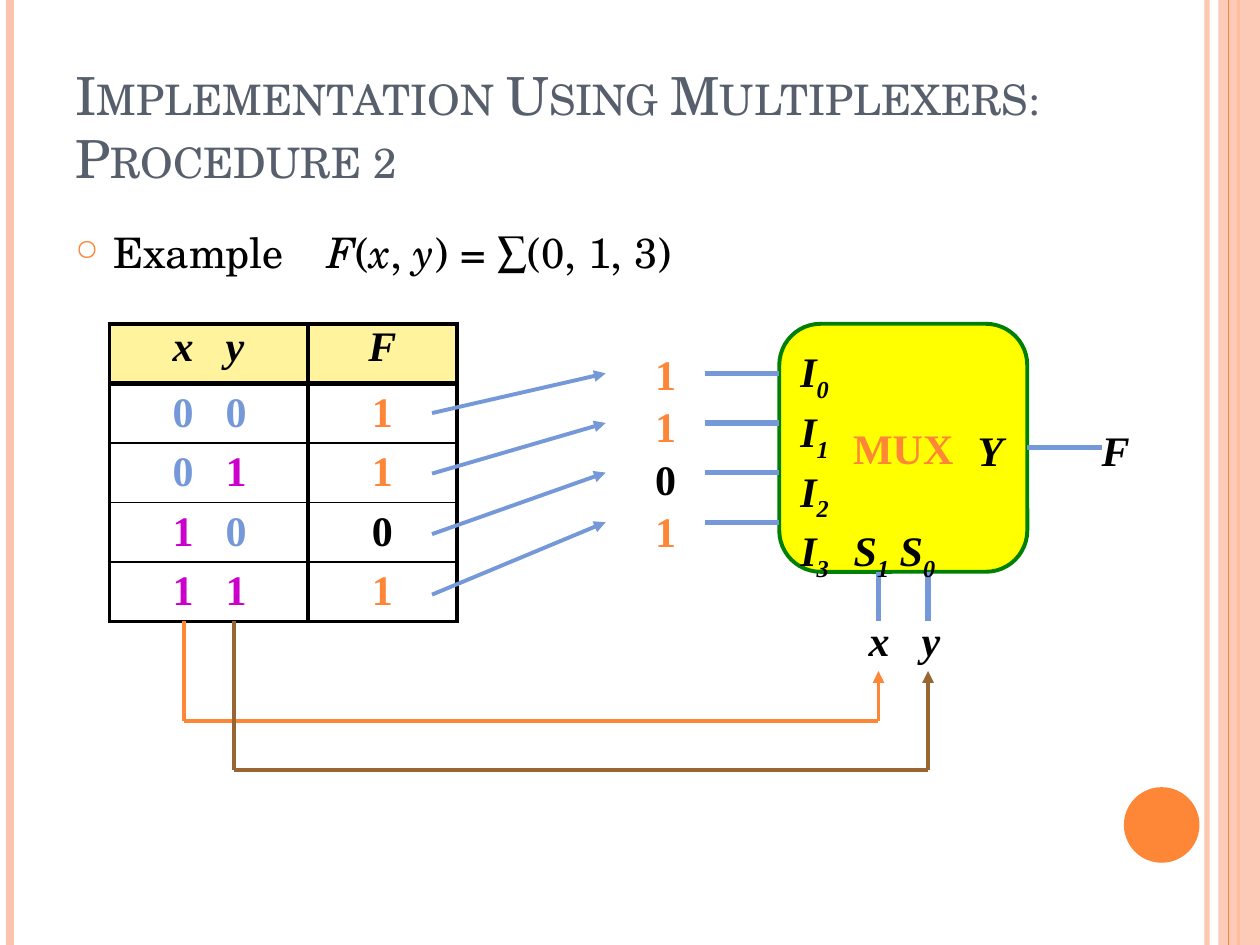
from dataclasses import dataclass

from lxml import etree
from pptx import Presentation
from pptx.dml.color import RGBColor
from pptx.enum.shapes import MSO_CONNECTOR, MSO_SHAPE
from pptx.enum.text import MSO_ANCHOR, PP_ALIGN
from pptx.oxml.ns import qn
from pptx.util import Cm, Inches, Pt

STRAIGHT = MSO_CONNECTOR.STRAIGHT
RECT, ROUNDED, OVAL = MSO_SHAPE.RECTANGLE, MSO_SHAPE.ROUNDED_RECTANGLE, MSO_SHAPE.OVAL
TOP, MIDDLE, BOTTOM = MSO_ANCHOR.TOP, MSO_ANCHOR.MIDDLE, MSO_ANCHOR.BOTTOM
LEFT, CENTER, RIGHT = PP_ALIGN.LEFT, PP_ALIGN.CENTER, PP_ALIGN.RIGHT


@dataclass(frozen=True)
class Theme:
    serif: str = "TeX Gyre Schola"
    label: str = "Times New Roman"
    title_size: int = 30
    text_size: int = 24
    black: str = "000000"
    slate: str = "575F6D"
    orange: str = "FE8637"
    peach: str = "FEC3AE"
    blue: str = "7598D9"
    magenta: str = "CC00CC"
    brown: str = "996633"
    yellow: str = "FFFF00"
    green: str = "008000"
    header: str = "FFF39D"


def child(parent, tag, **attributes):
    return etree.SubElement(parent, qn(tag), attributes)


def add_tab(paragraph, inches):
    tabs = child(paragraph._p.get_or_add_pPr(), "a:tabLst")
    child(tabs, "a:tab", pos=str(Inches(inches)), algn="l")


def set_alpha(element, percent):
    child(element.find(".//" + qn("a:srgbClr")), "a:alpha", val=str(percent * 1000))


class Board:
    """A slide with a one-centimetre grid that starts at the truth table's corner."""

    def __init__(self, deck, theme):
        self.deck, self.theme = deck, theme
        self.slide = deck.slides.add_slide(deck.slide_layouts[6])
        self.shapes = self.slide.shapes

    def point(self, col, row):
        return Inches(0.87) + Cm(col), Inches(2.57) + Cm(row)

    def grid(self, col, row, cols, rows):
        return (*self.point(col, row), Cm(cols), Cm(rows))

    def share(self, *parts):
        sides = (self.deck.slide_width, self.deck.slide_height) * 2
        return tuple(int(part * side) for part, side in zip(parts, sides))

    def line(self, start, end, color, width, arrow=False):
        link = self.shapes.add_connector(STRAIGHT, *start, *end)
        link.line.color.rgb = RGBColor.from_string(color)
        link.line.width = Pt(width)
        if arrow:
            child(link.line._get_or_add_ln(), "a:tailEnd", type="triangle")
        child(link._element.spPr, "a:effectLst")
        return link

    def shape(self, kind, box, fill, outline=None):
        figure = self.shapes.add_shape(kind, *box)
        figure.shadow.inherit = False
        figure.fill.solid()
        figure.fill.fore_color.rgb = RGBColor.from_string(fill)
        if outline:
            figure.line.color.rgb = RGBColor.from_string(outline)
            figure.line.width = Pt(2.25)
        else:
            figure.line.fill.background()
        return figure

    def add_runs(self, paragraph, runs, font=None, size=None, bold=True):
        """Each run is (text, colour, italic, subscript); the last two may be left out."""
        for text, color, *flags in runs:
            italic, sub = (flags + [False, False])[:2]
            run = paragraph.add_run()
            run.text = text
            run.font.name = font or self.theme.label
            run.font.size = Pt(size or self.theme.text_size)
            run.font.bold, run.font.italic = bold, italic
            run.font.color.rgb = RGBColor.from_string(color)
            if sub:
                run.font._element.set("baseline", "-25000")

    def frame(self, box, anchor=TOP):
        frame = self.shapes.add_textbox(*box).text_frame
        frame.word_wrap, frame.vertical_anchor = True, anchor
        return frame

    def label(self, box, lines, align=LEFT):
        frame = self.frame(box)
        frame.margin_left = frame.margin_right = frame.margin_top = frame.margin_bottom = 0
        for index, runs in enumerate(lines):
            paragraph = frame.add_paragraph() if index else frame.paragraphs[0]
            paragraph.alignment, paragraph.line_spacing = align, 1.04
            self.add_runs(paragraph, runs)
        return frame

    def cell(self, cell, runs, fill, borders):
        for side, width in zip("LRTB", borders):
            edge = child(cell._tc.get_or_add_tcPr(), "a:ln" + side, w=str(Pt(width)))
            child(child(edge, "a:solidFill"), "a:srgbClr", val=self.theme.black)
        if fill:
            cell.fill.solid()
            cell.fill.fore_color.rgb = RGBColor.from_string(fill)
        else:
            cell.fill.background()
        cell.margin_left = cell.margin_right = cell.margin_top = cell.margin_bottom = 0
        cell.vertical_anchor = TOP if fill else MIDDLE
        self.add_runs(cell.text_frame.paragraphs[0], runs)

    def truth_table(self, box, widths, rows):
        table = self.shapes.add_table(len(rows), len(widths), *box).table
        table.first_row = table.horz_banding = False
        for column, width in zip(table.columns, widths):
            column.width = Cm(width)
        for r, (inputs, output) in enumerate(rows):
            top = 2.25 if r == 0 else 3 if r == 1 else 1
            bottom = 3 if r == 0 else 2.25 if r == len(rows) - 1 else 1
            fill = None if r else self.theme.header
            pair, result = table.cell(r, 0), table.cell(r, 1)
            self.cell(pair, inputs, fill, (2.25, 3, top, bottom))
            self.cell(result, output, fill, (3, 2.25, top, bottom))
            pair.margin_left = Inches(0.5)
            add_tab(pair.text_frame.paragraphs[0], 0.42)
            result.text_frame.paragraphs[0].alignment = CENTER


def main():
    deck = Presentation()
    deck.slide_width, deck.slide_height = Inches(10), Inches(7.5)
    theme = Theme()
    board = Board(deck, theme)
    black, orange, blue = theme.black, theme.orange, theme.blue

    # Side bands and corner disc
    def rule(x, color, width):
        return board.line(board.share(x, 0), board.share(x, 1), color, width)

    set_alpha(rule(0.958, theme.peach, 3)._element, 93)
    rule(0.008, theme.peach, 4.5)
    rule(0.983, orange, 1.5)
    band = board.shape(RECT, board.share(0.967, 0, 0.033, 1), theme.peach)
    set_alpha(band._element, 87)
    rule(0.975, orange, 0.75)
    board.shape(OVAL, board.share(0.892, 0.833, 0.06, 0.08), orange)

    # Title
    heading = board.frame(board.share(0.05, 0.04, 0.842, 0.167), BOTTOM).paragraphs[0]
    heading.text = "Implementation Using Multiplexers:\vProcedure 2"
    for run in heading.runs:
        run.font.name, run.font.size = theme.serif, Pt(theme.title_size)
        run.font.color.rgb = RGBColor.from_string(theme.slate)
        run.font._element.set("cap", "small")

    # Multiplexer with its pins
    mux = board.shape(ROUNDED, board.grid(13.5, 0, 5, 5), theme.yellow, theme.green)
    mux.text_frame.word_wrap = False
    mux.text_frame.vertical_anchor = MIDDLE
    mux.text_frame.paragraphs[0].alignment = CENTER
    board.add_runs(mux.text_frame.paragraphs[0], [("MUX", orange)])
    for col in (15.5, 16.5):
        board.line(board.point(col, 6), board.point(col, 5), blue, 3)
    for row in range(1, 5):
        board.line(board.point(12, row), board.point(13.5, row), blue, 3)
    output_pin = board.line(board.point(18.5, 2.5), board.point(20, 2.5), blue, 3)
    output_pin.begin_connect(mux, 3)

    def pin(name, number):
        return [(name, black, True), (number, black, True, True)]

    board.label(board.grid(17.5, 2, 1, 1), [[("Y", black, True)]])
    board.label(board.grid(13.5, 0.4, 1, 4.06), [pin("I", n) for n in "0123"], RIGHT)
    board.label(board.grid(15, 4, 2.5, 1), [pin("S", "1") + pin(" S", "0")])
    board.label(board.grid(20, 2, 1.5, 1), [[("F", black, True)]])

    # Truth table
    bit_color = {"0": blue, "1": theme.magenta}
    result_color = {"0": black, "1": orange}
    results = "1101"
    rows = [([("x\ty", black, True)], [("F", black, True)])]
    for number, result in enumerate(results):
        x, y = f"{number:02b}"
        rows.append(([(x + "\t", bit_color[x]), (y, bit_color[y])],
                     [(result, result_color[result])]))
    board.truth_table(board.grid(0, 0, 7, 6), (4, 3), rows)

    # Select wires from the table to x and y
    for col, depth, color in ((1.5, 8, orange), (2.5, 9, theme.brown)):
        corners = [board.point(*corner) for corner in
                   ((col, 6), (col, depth), (col + 14, depth), (col + 14, 7))]
        for step in range(3):
            board.line(corners[step], corners[step + 1], color, 2.25, arrow=step == 2)
    selects = board.label(board.grid(15.1, 5.82, 1.9, 1), [[("x\ty", black, True)]])
    selects.margin_left = Inches(0.08)
    add_tab(selects.paragraphs[0], 0.42)

    # Results carried to the data inputs
    for n in range(len(results)):
        board.line(board.point(6.5, 1.8 + 1.22 * n), board.point(10, n + 1), blue, 2.25, True)
    board.label(board.grid(11, 0.46, 0.8, 4.06), [[(r, result_color[r])] for r in results])

    # Example function
    example = board.frame(board.share(0.05, 0.233, 0.842, 0.711)).paragraphs[0]
    layout = example._p.get_or_add_pPr()
    layout.set("marL", str(Inches(0.3)))
    layout.set("indent", str(-Inches(0.3)))
    child(child(layout, "a:buClr"), "a:srgbClr", val=orange)
    child(layout, "a:buSzPct", val="70000")
    child(layout, "a:buChar", char="○")
    parts = ("Example\t", "F", "(", "x", ", ", "y", ") = ∑(0, 1, 3)")
    board.add_runs(example, [(part, black, part in "Fxy") for part in parts],
                   theme.serif, theme.text_size, bold=False)

    deck.save("out.pptx")


if __name__ == "__main__":
    main()
